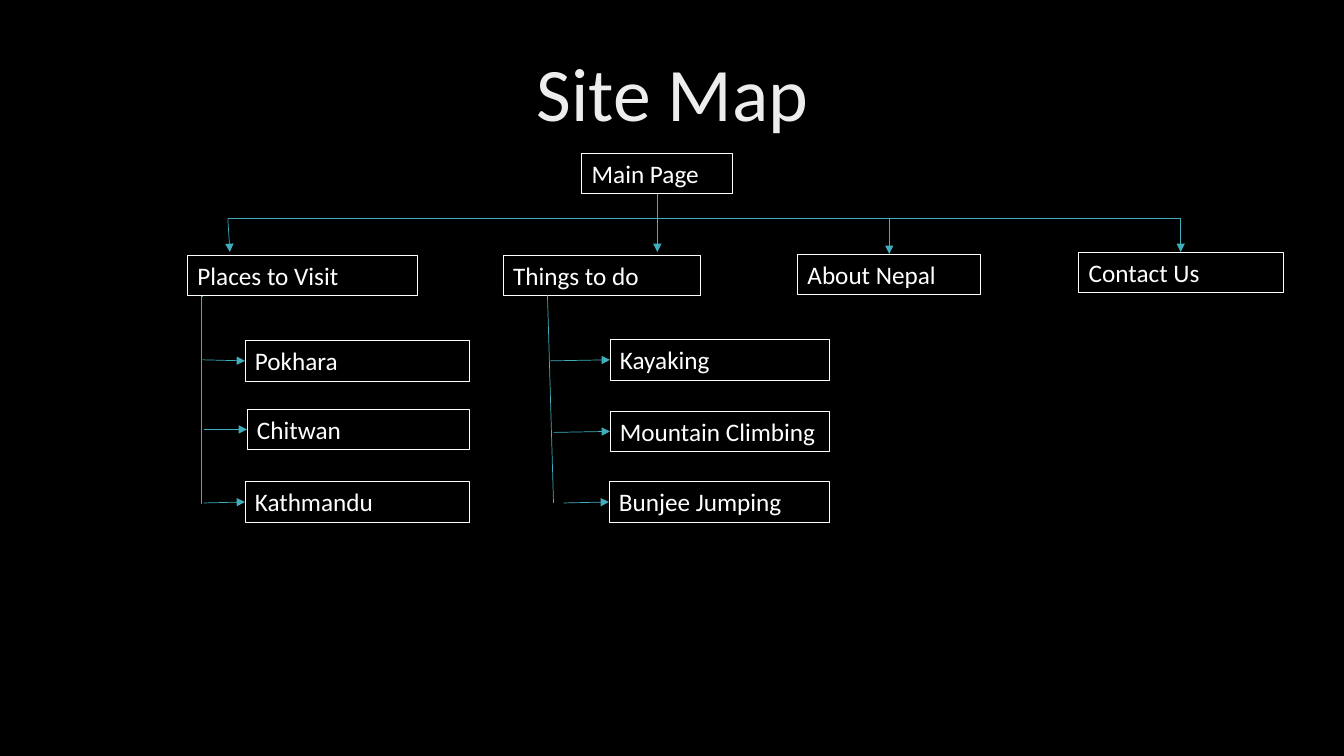
from pptx import Presentation
from pptx.dml.color import RGBColor
from pptx.enum.shapes import MSO_CONNECTOR as Connector, MSO_SHAPE as Shape
from pptx.enum.text import MSO_ANCHOR as Anchor, MSO_AUTO_SIZE as AutoSize, PP_ALIGN as Align
from pptx.oxml.ns import qn
from pptx.util import Pt
from lxml.etree import SubElement

SCALE = 9144
WHITE, TEAL, BLACK, SILVER = "FFFFFF", "41AEBD", "000000", "EDEDED"
BOX_HEIGHT = 40
BUS_Y = 217
MAIN_BOX = (577, 152, 149)
SECTIONS = [
    ("Places to Visit", (186, 253, 228), (226, 228, 250)),
    ("Things to do", (499, 253, 196), (652, 652, 250)),
    ("About Nepal", (791, 252, 181), (882, 882, 252)),
    ("Contact Us", (1070, 250, 203), (1171, 1171, 250)),
]
PLACES = [
    ("Pokhara", (243, 338, 223), (201, 357)),
    ("Chitwan", (245, 406, 221), (202, 426)),
    ("Kathmandu", (243, 478, 223), (202, 499)),
]
ACTIVITIES = [
    ("Kayaking", (605, 337, 218), (546, 358)),
    ("Mountain Climbing", (605, 408, 218), (549, 429)),
    ("Bunjee Jumping", (604, 478, 219), (559, 499)),
]


def px(*lengths):
    """Turn pixel lengths into EMU."""
    return [length * SCALE for length in lengths]


def color(value):
    """Turn a hex string into a colour."""
    return RGBColor.from_string(value)


def style_text(para, size, value):
    """Set the font of a whole paragraph."""
    para.font.name = "Calibri"
    para.font.size = Pt(size)
    para.font.color.rgb = color(value)


def add_title(page, text, box):
    """Fill and place the title placeholder."""
    title = page.shapes.title
    title.left, title.top, title.width, title.height = px(*box)
    frame = title.text_frame
    frame.text = text
    frame.vertical_anchor = Anchor.MIDDLE
    para = frame.paragraphs[0]
    para.alignment = Align.CENTER
    para.line_spacing = 0.9
    style_text(para, 54, SILVER)


def add_box(page, text, box):
    """Draw one outlined page name."""
    shape = page.shapes.add_shape(Shape.RECTANGLE, *px(*box, BOX_HEIGHT))
    shape.shadow.inherit = False
    shape.fill.background()
    shape.line.color.rgb = color(WHITE)
    shape.line.width = Pt(0.5)
    frame = shape.text_frame
    frame.text = text
    frame.word_wrap = True
    frame.auto_size = AutoSize.SHAPE_TO_FIT_TEXT
    frame.vertical_anchor = Anchor.TOP
    para = frame.paragraphs[0]
    para.alignment = Align.LEFT
    style_text(para, 18, WHITE)


def add_line(page, start, end, arrow=False, kind=Connector.STRAIGHT):
    """Draw a teal line, with an arrowhead at its end if asked."""
    line = page.shapes.add_connector(kind, *px(*start, *end))
    line.line.color.rgb = color(TEAL)
    line.line.width = Pt(0.5)
    if arrow:
        SubElement(line.line._get_or_add_ln(), qn("a:tailEnd"), type="triangle")
    SubElement(line._element.spPr, qn("a:effectLst"))


def add_top_level(page, box):
    """Draw the main page and the sections that hang below it."""
    add_box(page, "Main Page", box)
    left, top, width = box
    middle = left + width // 2 + 1
    add_line(page, (middle, top + BOX_HEIGHT), (middle, BUS_Y))
    add_line(page, (SECTIONS[0][2][0], BUS_Y), (SECTIONS[-1][2][0], BUS_Y))
    for text, section_box, (start_x, end_x, end_y) in SECTIONS:
        add_box(page, text, section_box)
        add_line(page, (start_x, BUS_Y), (end_x, end_y), arrow=True)


def add_branch(page, start, end, children, kind=Connector.STRAIGHT):
    """Draw a trunk and an arrow from it to each child page."""
    add_line(page, start, end, kind=kind)
    for text, box, joint in children:
        add_box(page, text, box)
        left, top, _ = box
        add_line(page, joint, (left, top + BOX_HEIGHT // 2), arrow=True)


def main():
    """Build and save the site map."""
    deck = Presentation()
    deck.slide_width, deck.slide_height = px(1333, 750)
    page = deck.slides.add_slide(deck.slide_layouts[5])
    page.background.fill.solid()
    page.background.fill.fore_color.rgb = color(BLACK)
    add_title(page, "Site Map", (92, 40, 1150, 112))
    add_top_level(page, MAIN_BOX)
    add_branch(page, (201, 294), (199, 499), PLACES, Connector.ELBOW)
    add_branch(page, (543, 293), (549, 499), ACTIVITIES)
    deck.save("out.pptx")


if __name__ == "__main__":
    main()
